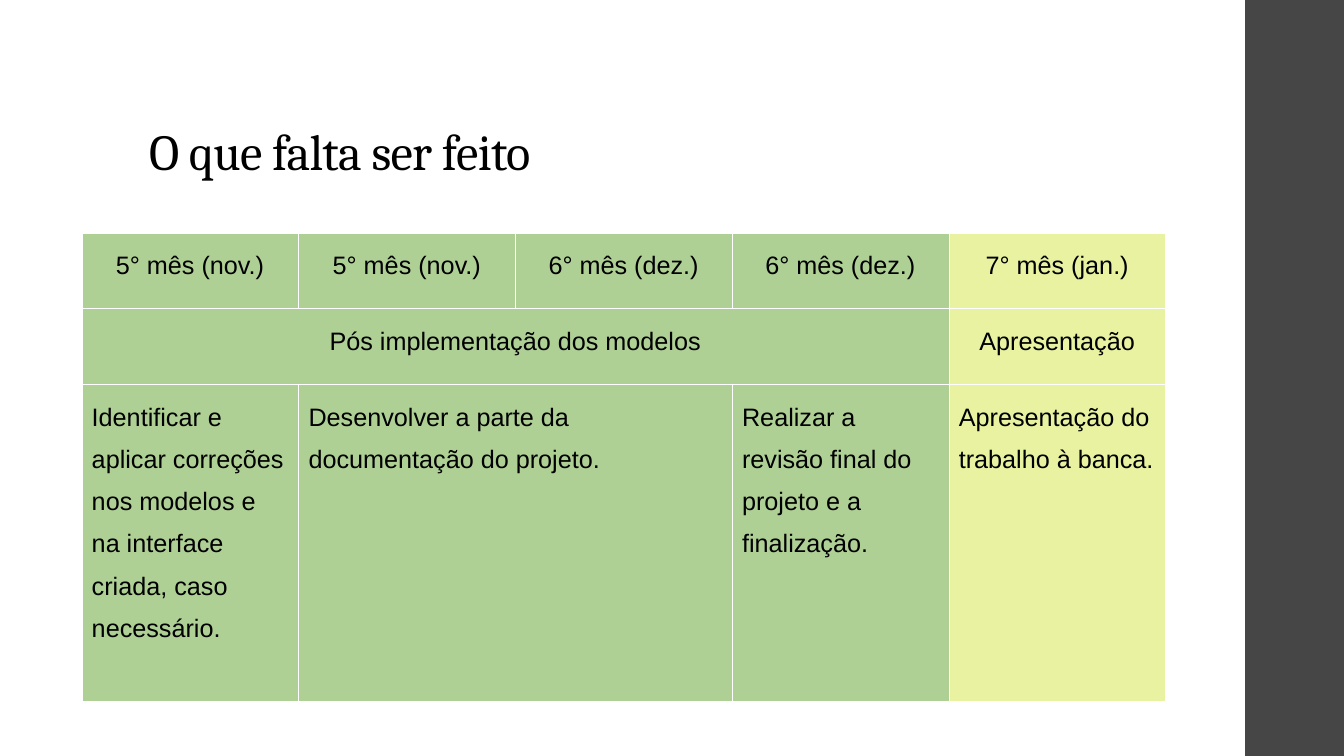
from lxml import etree
from pptx import Presentation
from pptx.dml.color import RGBColor
from pptx.enum.shapes import MSO_SHAPE
from pptx.enum.text import MSO_ANCHOR, PP_ALIGN
from pptx.oxml.ns import qn
from pptx.util import Inches, Pt

RECTANGLE = MSO_SHAPE.RECTANGLE
BOTTOM = MSO_ANCHOR.BOTTOM
LEFT, CENTER = PP_ALIGN.LEFT, PP_ALIGN.CENTER

BLACK = RGBColor(0x00, 0x00, 0x00)
WHITE = RGBColor(0xFF, 0xFF, 0xFF)
CHARCOAL = RGBColor(0x46, 0x46, 0x46)
GREEN = RGBColor(0xAF, 0xD0, 0x95)
YELLOW = RGBColor(0xE8, 0xF2, 0xA1)

SLIDE_WIDTH, SLIDE_HEIGHT = Inches(13.33), Inches(7.5)
COLUMN_WIDTH = Inches(2.15)
ROW_HEIGHTS = [Inches(0.75), Inches(0.75), Inches(3.15)]
COLUMN_COUNT = 5
BORDER_WIDTH = Pt(0.06)

SCHEDULE = [
    (CENTER, [
        (0, 1, "5° mês (nov.)"),
        (1, 1, "5° mês (nov.)"),
        (2, 1, "6° mês (dez.)"),
        (3, 1, "6° mês (dez.)"),
        (4, 1, "7° mês (jan.)"),
    ]),
    (CENTER, [
        (0, 4, "Pós implementação dos modelos"),
        (4, 1, "Apresentação"),
    ]),
    (LEFT, [
        (0, 1, "Identificar e aplicar correções nos modelos e na interface "
               "criada, caso necessário."),
        (1, 2, "Desenvolver a parte da documentação do projeto."),
        (3, 1, "Realizar a revisão final do projeto e a finalização."),
        (4, 1, "Apresentação do trabalho à banca."),
    ]),
]


def add_side_band(slide):
    width = Inches(1)
    band = slide.shapes.add_shape(
        RECTANGLE, SLIDE_WIDTH - width + Inches(0.02), 0, width, SLIDE_HEIGHT)
    band.shadow.inherit = False
    band.fill.solid()
    band.fill.fore_color.rgb = CHARCOAL
    band.line.fill.background()


def write_run(paragraph, text, font_name, size):
    run = paragraph.add_run()
    run.text = text
    run.font.name = font_name
    run.font.size = Pt(size)
    run.font.bold = False
    run.font.color.rgb = BLACK
    return run


def add_title(slide, text):
    title = slide.shapes.add_textbox(
        Inches(1.38), Inches(0.4), Inches(10.6), Inches(1.45))
    frame = title.text_frame
    frame.word_wrap = True
    frame.vertical_anchor = BOTTOM
    paragraph = frame.paragraphs[0]
    paragraph.line_spacing = 0.9
    run = write_run(paragraph, text, "Cambria", 36)
    run.font._element.set("spc", "-50")


def set_borders(cell):
    properties = cell._tc.get_or_add_tcPr()
    for side in ("a:lnL", "a:lnR", "a:lnT", "a:lnB"):
        border = etree.SubElement(properties, qn(side), w=str(int(BORDER_WIDTH)))
        fill = etree.SubElement(border, qn("a:solidFill"))
        etree.SubElement(fill, qn("a:srgbClr"), val=str(WHITE))


def style_cell(cell, colour):
    set_borders(cell)
    cell.fill.solid()
    cell.fill.fore_color.rgb = colour


def add_schedule(slide):
    table = slide.shapes.add_table(
        len(ROW_HEIGHTS), COLUMN_COUNT, Inches(0.81), Inches(2.31),
        COLUMN_WIDTH * COLUMN_COUNT, sum(ROW_HEIGHTS)).table
    table.first_row = False
    table.horz_banding = False
    for column in table.columns:
        column.width = COLUMN_WIDTH
    for row, height in zip(table.rows, ROW_HEIGHTS):
        row.height = height
        for column_index, cell in enumerate(row.cells):
            last = column_index == COLUMN_COUNT - 1
            style_cell(cell, YELLOW if last else GREEN)
    for row_index, (alignment, entries) in enumerate(SCHEDULE):
        for column_index, span, text in entries:
            cell = table.cell(row_index, column_index)
            if span > 1:
                cell.merge(table.cell(row_index, column_index + span - 1))
            paragraph = cell.text_frame.paragraphs[0]
            paragraph.alignment = alignment
            paragraph.line_spacing = 1.5
            write_run(paragraph, text, "Arial", 18)


def main():
    presentation = Presentation()
    presentation.slide_width = SLIDE_WIDTH
    presentation.slide_height = SLIDE_HEIGHT
    slide = presentation.slides.add_slide(presentation.slide_layouts[6])
    add_side_band(slide)
    add_title(slide, "O que falta ser feito")
    add_schedule(slide)
    presentation.save("out.pptx")


if __name__ == "__main__":
    main()
